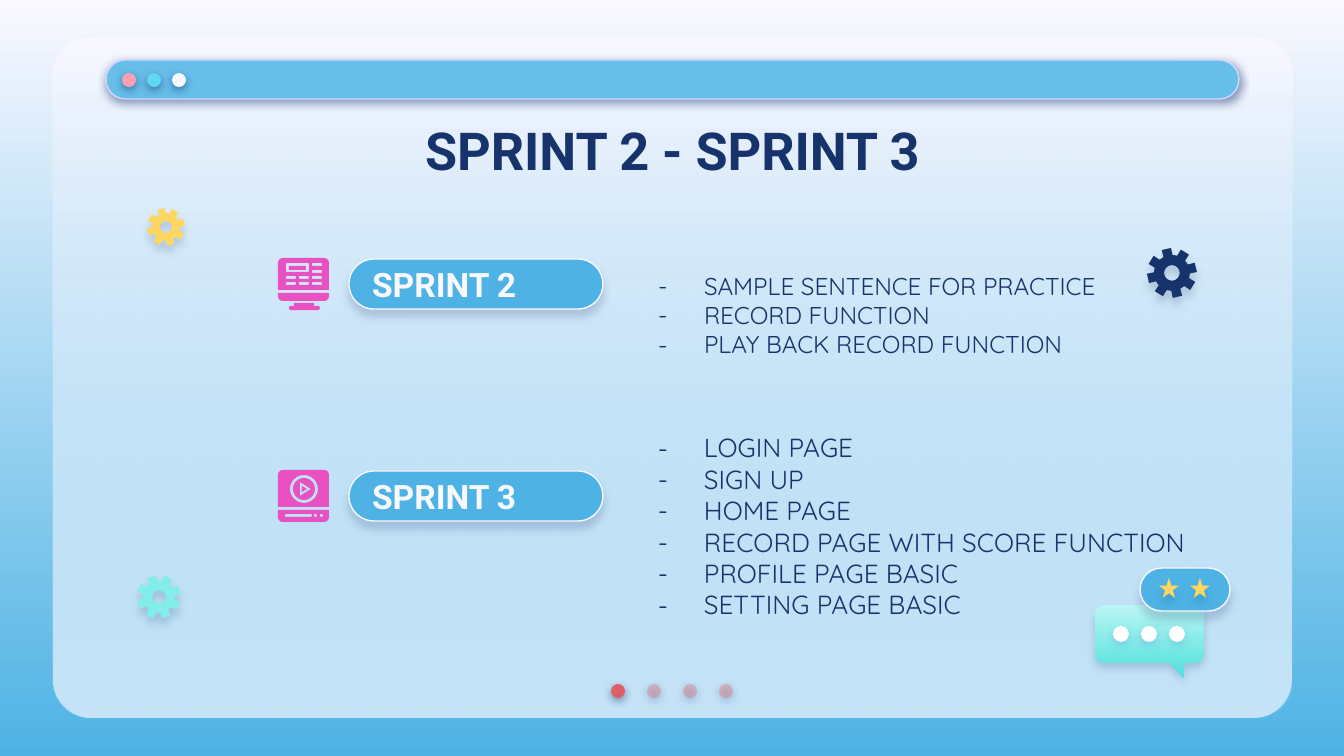
"""Build the Sprint 2 - Sprint 3 slide."""
from math import cos, radians, sin

from lxml import etree
from pptx import Presentation
from pptx.dml.color import RGBColor
from pptx.enum.shapes import MSO_SHAPE
from pptx.enum.text import MSO_ANCHOR, PP_ALIGN
from pptx.oxml.ns import qn
from pptx.util import Pt

PX = 914400 / 134.4
ROUND, OVAL, STAR = MSO_SHAPE.ROUNDED_RECTANGLE, MSO_SHAPE.OVAL, MSO_SHAPE.STAR_5_POINT
MIDDLE, LEFT, CENTER = MSO_ANCHOR.MIDDLE, PP_ALIGN.LEFT, PP_ALIGN.CENTER
NAVY, WHITE, BLUE, SKY = "17336B", "F9F8FF", "4EB3E4", "66BEE9"
PINK, YELLOW, TEAL = "E951C2", "FFD65F", "81EEEB"
DOT_SHADOW = (NAVY, 50, 1.5)
SOFT_SHADOW = (NAVY, 18, 3.8)
CHAT_SHADOW = (NAVY, 19, 4.5)


def style(sp, fill, alpha=None, line=None, shadow=None):
    """Set a solid or two-stop fill, then the outline and the shadow."""
    if isinstance(fill, tuple):
        sp.fill.gradient()
        sp.fill.gradient_angle = 270
        for stop, color in zip(sp.fill.gradient_stops, fill):
            stop.color.rgb = RGBColor.from_string(color)
    else:
        sp.fill.solid()
        sp.fill.fore_color.rgb = RGBColor.from_string(fill)
    if not hasattr(sp, "line"):
        return
    spPr = sp._element.spPr
    if alpha:
        last = list(spPr.iter(qn("a:srgbClr")))[-1]
        etree.SubElement(last, qn("a:alpha"), val=str(alpha * 1000))
    if line:
        sp.line.color.rgb = RGBColor.from_string(line)
        sp.line.width = Pt(0.75)
    else:
        sp.line.fill.background()
    sp.shadow.inherit = False
    if shadow:
        color, opacity, dist = shadow
        outer = etree.SubElement(spPr.find(qn("a:effectLst")), qn("a:outerShdw"),
                                 blurRad=str(Pt(4.5)), dist=str(Pt(dist)),
                                 dir="5400000", algn="bl", rotWithShape="0")
        clr = etree.SubElement(outer, qn("a:srgbClr"), val=color)
        etree.SubElement(clr, qn("a:alpha"), val=str(opacity * 1000))


def write(sp, text, size, font="Roboto", color=NAVY, bold=True, align=LEFT,
          spacing=None, bullet=None, bottom=13):
    """Fill a shape with one paragraph for each line of text."""
    tf = sp.text_frame
    tf.word_wrap = True
    tf.vertical_anchor = MIDDLE
    tf.margin_left = tf.margin_right = tf.margin_top = round(13 * PX)
    tf.margin_bottom = round(bottom * PX)
    for i, line in enumerate(text.split("\n")):
        p = tf.add_paragraph() if i else tf.paragraphs[0]
        p.alignment = align
        if spacing:
            p.line_spacing = spacing
        if bullet:
            pPr = p._p.get_or_add_pPr()
            pPr.set("marL", str(round(67 * PX)))
            pPr.set("indent", str(round(-46 * PX)))
            clr = etree.SubElement(pPr, qn("a:buClr"))
            etree.SubElement(clr, qn("a:srgbClr"), val=color)
            etree.SubElement(pPr, qn("a:buFont"), typeface=font)
            etree.SubElement(pPr, qn("a:buChar"), char=bullet)
        r = p.add_run()
        r.text = line
        r.font.size = Pt(size)
        r.font.name = font
        r.font.bold = bold
        r.font.color.rgb = RGBColor.from_string(color)


prs = Presentation()
prs.slide_width, prs.slide_height = round(1344 * PX), round(756 * PX)
s = prs.slides.add_slide(prs.slide_layouts[5])
style(s.background, (WHITE, BLUE))

window = [
    (ROUND, 53, 38, 1239, 680, 0.056, WHITE, {}),
    (ROUND, 53, 38, 1239, 680, 0.056, (WHITE, SKY), {"alpha": 34}),
    (ROUND, 106, 60, 1133, 39, 0.5, SKY, {"line": "D2D6FF", "shadow": DOT_SHADOW}),
]
for i, color in enumerate(["FDA0B4", "60D8F4", WHITE]):
    window.append((OVAL, 122 + 25 * i, 73, 14, 14, None, color, {"shadow": DOT_SHADOW}))
for i in range(4):
    color, alpha = ("E27B83", 44) if i else ("DF5F69", None)
    window.append((OVAL, 611 + 36 * i, 684, 14, 14, None, color,
                   {"alpha": alpha, "shadow": DOT_SHADOW}))
for y in (471, 259):
    window.append((ROUND, 349, y, 254, 50, 0.5, BLUE, {"line": WHITE, "shadow": SOFT_SHADOW}))

# Rounded boxes are (x, y, w, h, top radius, bottom radius); lists are polygons.
monitor = [(278, 258, 51, 32, 5, 0), (278, 293, 51, 8, 0, 5), (294, 303, 20, 3, 0, 0),
           (289, 306, 31, 4, 2, 2), (286, 263, 23, 9, 1, 1), (289, 266, 17, 4, 0, 0)]
monitor += [(312, y, 10, 3, 1, 1) for y in (263, 270)]
monitor += [(x, y, 10, 3, 1, 1) for y in (276, 282) for x in (286, 299, 312)]
player = [(278, 470, 51, 37, 5, 0), (290, 475, 28, 28, 14, 14), (293, 478, 22, 22, 11, 11),
          [(300, 482), (311, 489), (300, 496)], [(302, 486), (307, 489), (302, 492)],
          (278, 510, 51, 12, 0, 5), (285, 514, 27, 3, 1, 1),
          (314, 514, 3, 3, 1, 1), (320, 514, 3, 3, 1, 1)]
bubble = [(1095, 605, 109, 58, 10, 10), [(1170, 663), (1184, 663), (1184, 678)]]
outlines = [(player, PINK, None), (monitor, PINK, None)]
for cx, cy, radius, turn, color in [(159, 597, 22, -110, TEAL), (166, 227, 19, -105, YELLOW),
                                    (1172, 273, 25, -103, NAVY)]:
    rim = [(cx + radius * k * cos(radians(turn + 45 * tooth + a)),
            cy + radius * k * sin(radians(turn + 45 * tooth + a)))
           for tooth in range(8) for a, k in [(-15, 0.72), (-11, 1), (11, 1), (15, 0.72)]]
    hole = radius * 0.31
    outlines.append(([rim, (cx - hole, cy - hole, 2 * hole, 2 * hole, hole, hole)],
                     color, SOFT_SHADOW))
outlines.append((bubble, ("BBF6F4", "4EE0DB"), (NAVY, 18, 3)))

chat = [(OVAL, 1113 + 28 * i, 626, 16, 16, None, "FFFFFF", {"shadow": ("5352EE", 18, 1.5)})
        for i in range(3)]
chat.append((ROUND, 1140, 568, 90, 43, 0.5, BLUE, {"line": WHITE, "shadow": CHAT_SHADOW}))
chat += [(STAR, x, 578, 20, 20, None, YELLOW, {"shadow": CHAT_SHADOW}) for x in (1159, 1190)]

for kind, x, y, w, h, radius, fill, look in window:
    sp = s.shapes.add_shape(kind, *[round(v * PX) for v in (x, y, w, h)])
    if radius:
        sp.adjustments[0] = radius
    style(sp, fill, **look)

title = s.shapes.title
s.shapes._spTree.append(title._element)
title.left, title.top, title.width, title.height = [round(v * PX) for v in (106, 102, 1133, 85)]
write(title, "SPRINT 2 - SPRINT 3", 28, align=CENTER, spacing=1.15)

body = {"font": "Quicksand", "bold": False, "bullet": "-", "bottom": 44}
heading = {"color": WHITE}
for x, y, w, h, text, size, look in [
    (624, 254, 491, 153,
     "SAMPLE SENTENCE FOR PRACTICE\nRECORD FUNCTION\nPLAY BACK RECORD FUNCTION", 13, body),
    (624, 465, 599, 153, "LOGIN PAGE\nSIGN UP\nHOME PAGE\nRECORD PAGE WITH SCORE FUNCTION\n"
     "PROFILE PAGE BASIC\nSETTING PAGE BASIC", 14, body),
    (359, 266, 235, 36, "SPRINT 2", 18, heading),
    (359, 478, 235, 36, "SPRINT 3", 18, heading),
]:
    sp = s.shapes.add_textbox(*[round(v * PX) for v in (x, y, w, h)])
    write(sp, text, size, **look)

for pieces, fill, shadow in outlines:
    builder = None
    for points in pieces:
        if isinstance(points, tuple):
            x, y, w, h, top, bottom = points
            corners = [(x + w - bottom, y + h - bottom, bottom, 0), (x + bottom, y + h - bottom, bottom, 90),
                       (x + top, y + top, top, 180), (x + w - top, y + top, top, 270)]
            points = [(cx + r * cos(radians(a + d)), cy + r * sin(radians(a + d)))
                      for cx, cy, r, a in corners for d in (range(0, 91, 15) if r else [0])]
        points = [(px * PX, py * PX) for px, py in points]
        if builder is None:
            builder = s.shapes.build_freeform(*points[0], scale=1.0)
        else:
            builder.move_to(*points[0])
        builder.add_line_segments(points[1:], close=True)
    style(builder.convert_to_shape(), fill, shadow=shadow)

for kind, x, y, w, h, radius, fill, look in chat:
    sp = s.shapes.add_shape(kind, *[round(v * PX) for v in (x, y, w, h)])
    if radius:
        sp.adjustments[0] = radius
    style(sp, fill, **look)

prs.save("out.pptx")
